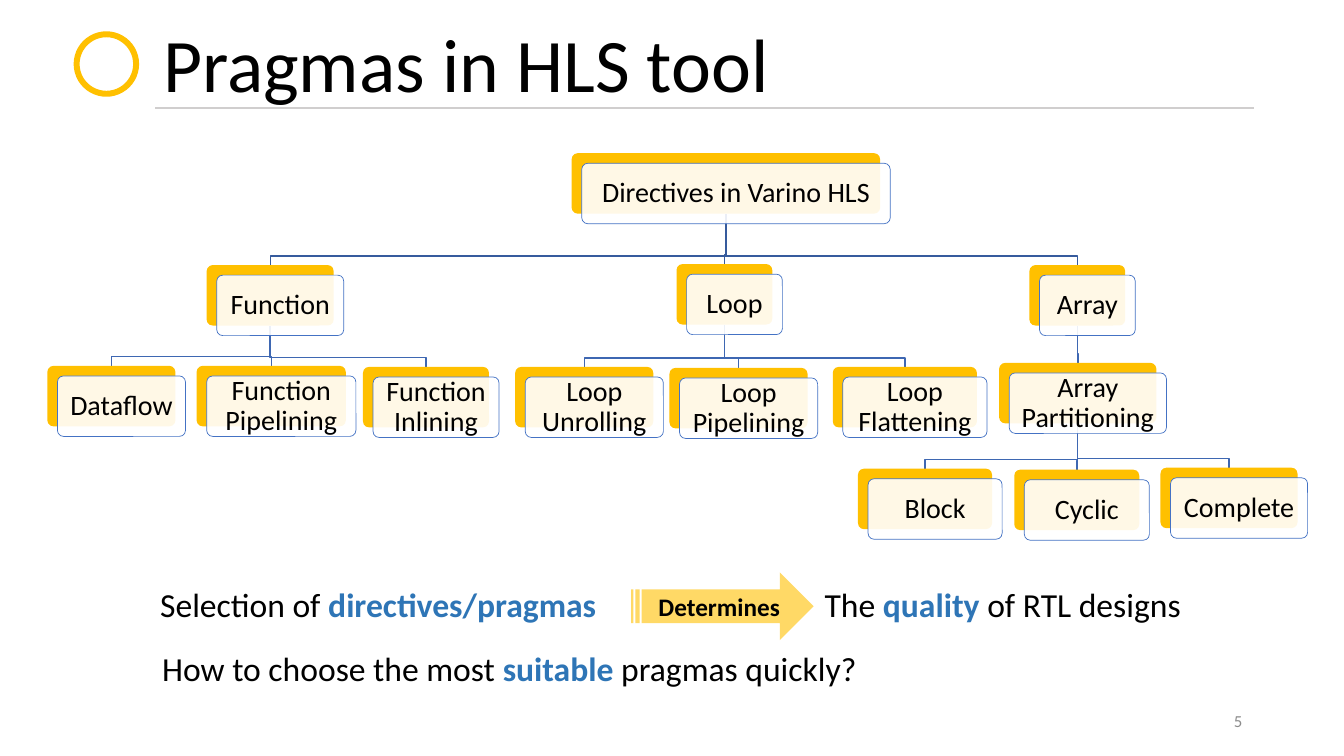
from lxml import etree
from pptx import Presentation
from pptx.dml.color import RGBColor
from pptx.enum.shapes import MSO_CONNECTOR, MSO_SHAPE
from pptx.enum.text import MSO_ANCHOR, MSO_AUTO_SIZE, PP_ALIGN
from pptx.oxml.ns import qn
from pptx.util import Inches, Pt

ROUNDED = MSO_SHAPE.ROUNDED_RECTANGLE
ELLIPSE = MSO_SHAPE.OVAL
STRIPED_ARROW = MSO_SHAPE.STRIPED_RIGHT_ARROW
STRAIGHT = MSO_CONNECTOR.STRAIGHT
TOP, MIDDLE = MSO_ANCHOR.TOP, MSO_ANCHOR.MIDDLE
LEFT, CENTER, RIGHT = PP_ALIGN.LEFT, PP_ALIGN.CENTER, PP_ALIGN.RIGHT
NO_AUTOFIT = MSO_AUTO_SIZE.NONE

FONT = "Calibri"
COLORS = {
    "text": "000000", "emphasis": "2E75B6", "number": "8C8C8C",
    "gold": "FFC000", "arrow": "FFD966", "card": "FFFFFF",
    "card_line": "4472C4", "root_branch": "365B9D", "branch": "3E67B2",
    "rule": "D0CECE",
}
NODE_HEIGHT = 0.6
CARD_OFFSET = 0.1
BRANCH_DROP = 0.09
ROOT = "Directives in Varino HLS"
NODES = {
    ROOT: (5.67, 1.52, 3.06, None),
    "Function": (2.05, 2.63, 1.26, ROOT),
    "Dataflow": (0.47, 3.63, 1.27, "Function"),
    "Function Pipelining": (1.95, 3.63, 1.48, "Function"),
    "Function Inlining": (3.6, 3.64, 1.25, "Function"),
    "Loop": (6.71, 2.62, 0.95, ROOT),
    "Loop Unrolling": (5.11, 3.64, 1.37, "Loop"),
    "Loop Pipelining": (6.64, 3.65, 1.37, "Loop"),
    "Loop Flattening": (8.26, 3.64, 1.43, "Loop"),
    "Array": (10.21, 2.63, 0.95, ROOT),
    "Array Partitioning": (9.91, 3.6, 1.56, "Array"),
    "Block": (8.51, 4.65, 1.33, "Array Partitioning"),
    "Cyclic": (10.06, 4.66, 1.24, "Array Partitioning"),
    "Complete": (11.51, 4.64, 1.36, "Array Partitioning"),
}


def color(name):
    return RGBColor.from_string(COLORS[name])


def write(shape, parts, size, name="text", bold=False, align=LEFT,
          anchor=TOP, spacing=0.9):
    frame = shape.text_frame
    frame.word_wrap = True
    frame.auto_size = NO_AUTOFIT
    frame.vertical_anchor = anchor
    paragraph = frame.paragraphs[0]
    paragraph.alignment = align
    paragraph.line_spacing = spacing
    for text, emphasized in parts:
        run = paragraph.add_run()
        run.text = text
        run.font.name = FONT
        run.font.size = Pt(size)
        run.font.bold = bold or emphasized
        run.font.color.rgb = color("emphasis" if emphasized else name)


def add_text(slide, box, parts, size, **style):
    shape = slide.shapes.add_textbox(*map(Inches, box))
    write(shape, parts, size, **style)
    return shape


def add_shape(slide, kind, box, fill=None, line=None, line_width=0.5):
    shape = slide.shapes.add_shape(kind, *map(Inches, box))
    shape.shadow.inherit = False
    if fill:
        shape.fill.solid()
        shape.fill.fore_color.rgb = color(fill)
    else:
        shape.fill.background()
    if line:
        shape.line.color.rgb = color(line)
        shape.line.width = Pt(line_width)
    else:
        shape.line.fill.background()
    return shape


def set_opacity(shape, percent):
    fill_color = shape.fill._xPr.find(qn("a:solidFill"))[0]
    alpha = etree.SubElement(fill_color, qn("a:alpha"))
    alpha.set("val", str(percent * 1000))


def add_branch(slide, parent, child):
    parent_left, parent_top, parent_width, _ = NODES[parent]
    left, top, width, _ = child
    start_x = parent_left + parent_width / 2
    end_x = left + width / 2
    start_y = parent_top + NODE_HEIGHT
    bend_y = top - BRANCH_DROP
    builder = slide.shapes.build_freeform(Inches(start_x), Inches(start_y))
    corners = [(start_x, bend_y), (end_x, bend_y), (end_x, top)]
    builder.add_line_segments(
        [(Inches(x), Inches(y)) for x, y in corners], close=False)
    shape = builder.convert_to_shape()
    shape.shadow.inherit = False
    shape.fill.background()
    shape.line.color.rgb = color("root_branch" if parent == ROOT else "branch")
    shape.line.width = Pt(1)


def add_node(slide, label, node):
    left, top, width, _ = node
    back = add_shape(slide, ROUNDED, (left, top, width, NODE_HEIGHT), "gold")
    card = add_shape(
        slide, ROUNDED,
        (left + CARD_OFFSET, top + CARD_OFFSET, width, NODE_HEIGHT),
        "card", "card_line")
    for shape in (back, card):
        shape.adjustments[0] = 0.1
    set_opacity(card, 90)
    frame = card.text_frame
    frame.margin_left = frame.margin_right = Inches(0.09)
    frame.margin_top = frame.margin_bottom = Inches(0.09)
    write(card, [(label, False)], 20, align=CENTER, anchor=MIDDLE)


def add_tree(slide):
    for node in NODES.values():
        if node[3]:
            add_branch(slide, node[3], node)
    for label, node in NODES.items():
        add_node(slide, label, node)


def add_title(slide):
    title = slide.shapes.title
    title.left, title.top = Inches(1.52), Inches(-0.05)
    title.width, title.height = Inches(6.25), Inches(1.45)
    write(title, [("Pragmas in HLS tool", False)], 54, anchor=MIDDLE)
    add_shape(slide, ELLIPSE, (0.76, 0.34, 0.59, 0.59),
              line="gold", line_width=4.25)
    rule = slide.shapes.add_connector(
        STRAIGHT, Inches(1.54), Inches(1.07), Inches(12.44), Inches(1.07))
    rule.line.color.rgb = color("rule")
    rule.line.width = Pt(1.25)
    etree.SubElement(rule._element.spPr, qn("a:effectLst"))


def add_conclusion(slide):
    add_text(slide, (1.49, 5.79, 5.33, 0.6),
             [("Selection of ", False), ("directives/pragmas", True)], 24)
    arrow = add_shape(slide, STRIPED_ARROW, (6.26, 5.68, 1.81, 0.67), "arrow")
    write(arrow, [("Determines", False)], 18, bold=True, align=CENTER,
          anchor=MIDDLE, spacing=1.0)
    quality = add_text(
        slide, (8.08, 5.74, 3.85, 0.5),
        [("The ", False), ("quality ", True), ("of RTL designs", False)],
        24, spacing=1.0)
    quality.text_frame.word_wrap = False
    add_text(slide, (1.51, 6.42, 11.02, 0.6),
             [("How to choose the most ", False), ("suitable", True),
              (" pragmas quickly?", False)], 24)


def main():
    presentation = Presentation()
    presentation.slide_width = Inches(13.33)
    presentation.slide_height = Inches(7.5)
    slide = presentation.slides.add_slide(presentation.slide_layouts[5])
    add_title(slide)
    add_tree(slide)
    add_conclusion(slide)
    add_text(slide, (9.42, 6.95, 3, 0.4), [("5", False)], 12, name="number",
             align=RIGHT, anchor=MIDDLE, spacing=1.0)
    presentation.save("out.pptx")


if __name__ == "__main__":
    main()
